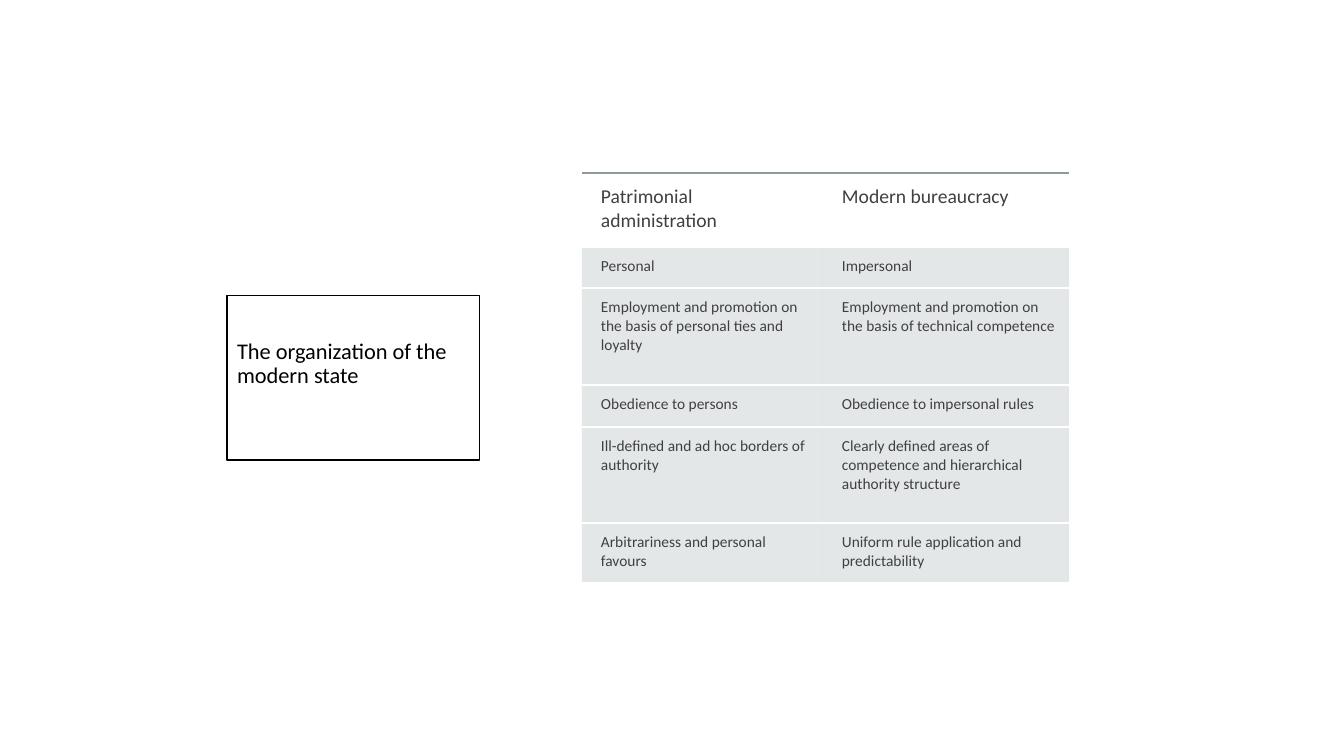
from lxml.etree import SubElement
from pptx import Presentation
from pptx.dml.color import RGBColor
from pptx.enum.text import MSO_ANCHOR, PP_ALIGN
from pptx.oxml import parse_xml
from pptx.oxml.ns import nsdecls, qn
from pptx.util import Emu, Pt

SCALE = 914400 / 100.8
FONT = "Calibri"
BLACK = RGBColor(0x00, 0x00, 0x00)
WHITE = RGBColor(0xFF, 0xFF, 0xFF)
TEXT_GRAY = RGBColor(0x40, 0x40, 0x40)
RULE_GRAY = RGBColor(0x8F, 0x9A, 0x9D)
ROW_GRAY = RGBColor(0xB4, 0xBC, 0xBE)
PLAIN_STYLE = "{2D5ABB26-0587-4C30-8999-92F81FD0307C}"

COLUMN_WIDTHS = [241, 246]
ROW_HEIGHTS = [74, 41, 97, 42, 96, 60]
COMPARISON = [
    ("Patrimonial administration", "Modern bureaucracy"),
    ("Personal ", "Impersonal"),
    ("Employment and promotion on the basis of personal ties and loyalty",
     "Employment and promotion on the basis of technical competence"),
    ("Obedience to persons", "Obedience to impersonal rules"),
    ("Ill-defined and ad hoc borders of authority",
     "Clearly defined areas of competence and hierarchical authority structure "),
    ("Arbitrariness and personal favours ",
     "Uniform rule application and predictability "),
]


def px(length):
    """Turn pixels into EMU."""
    return Emu(round(length * SCALE))


def format_runs(paragraph, size, color):
    """Give every run of a paragraph its font."""
    for run in paragraph.runs:
        run.font.name = FONT
        run.font.size = Pt(size)
        run.font.color.rgb = color
        run.font.bold = False


def add_heading(slide):
    """Place the framed slide title."""
    heading = slide.shapes.title
    heading.left, heading.top, heading.width, heading.height = map(px, (227, 295, 253, 165))
    heading.fill.solid()
    heading.fill.fore_color.rgb = WHITE
    heading.line.color.rgb = BLACK
    heading.line.width = Pt(0.75)
    frame = heading.text_frame
    frame.text = "The organization of the modern state\v"
    frame.word_wrap = True
    frame.vertical_anchor = MSO_ANCHOR.MIDDLE
    paragraph = frame.paragraphs[0]
    paragraph.alignment = PP_ALIGN.LEFT
    paragraph.line_spacing = 0.9
    paragraph.font.size = Pt(16)
    format_runs(paragraph, 16, BLACK)


def set_borders(cell, top, top_opacity):
    """Draw the top border in its colour and the bottom border in white."""
    properties = cell._tc.get_or_add_tcPr()
    borders = [("lnT", top, top_opacity), ("lnB", WHITE, 100)]
    for position, (side, color, opacity) in enumerate(borders):
        properties.insert(position, parse_xml(
            f'<a:{side} {nsdecls("a")} w="{Pt(1.5)}"><a:solidFill><a:srgbClr val="{color}">'
            f'<a:alpha val="{opacity * 1000}"/></a:srgbClr></a:solidFill></a:{side}>'))


def fill_cell(cell, wording, is_header):
    """Write and format one cell of the comparison."""
    cell.text = wording
    inset = px(12 if is_header else 10)
    cell.margin_left = px(19)
    cell.margin_top = cell.margin_right = cell.margin_bottom = inset
    format_runs(cell.text_frame.paragraphs[0], 14 if is_header else 11, TEXT_GRAY)
    if is_header:
        cell.fill.background()
        set_borders(cell, RULE_GRAY, 60)
    else:
        cell.fill.solid()
        cell.fill.fore_color.rgb = ROW_GRAY
        tint = cell._tc.tcPr.find(".//" + qn("a:srgbClr"))
        SubElement(tint, qn("a:alpha"), val="35000")
        set_borders(cell, WHITE, 100)


def add_comparison(slide):
    """Add the table comparing the two forms of administration."""
    frame = slide.shapes.add_table(
        len(ROW_HEIGHTS), len(COLUMN_WIDTHS), px(582), px(173),
        px(sum(COLUMN_WIDTHS)), px(sum(ROW_HEIGHTS)))
    table = frame.table
    table.first_row = table.horz_banding = False
    table._tbl.tblPr.find(qn("a:tableStyleId")).text = PLAIN_STYLE
    for column, width in zip(table.columns, COLUMN_WIDTHS):
        column.width = px(width)
    for index, (row, height) in enumerate(zip(table.rows, ROW_HEIGHTS)):
        row.height = px(height)
        for cell, wording in zip(row.cells, COMPARISON[index]):
            fill_cell(cell, wording, index == 0)


def main():
    """Build and save the slide."""
    deck = Presentation()
    deck.slide_width, deck.slide_height = px(1344), px(756)
    slide = deck.slides.add_slide(deck.slide_layouts[5])
    add_heading(slide)
    add_comparison(slide)
    deck.save("out.pptx")


main()
